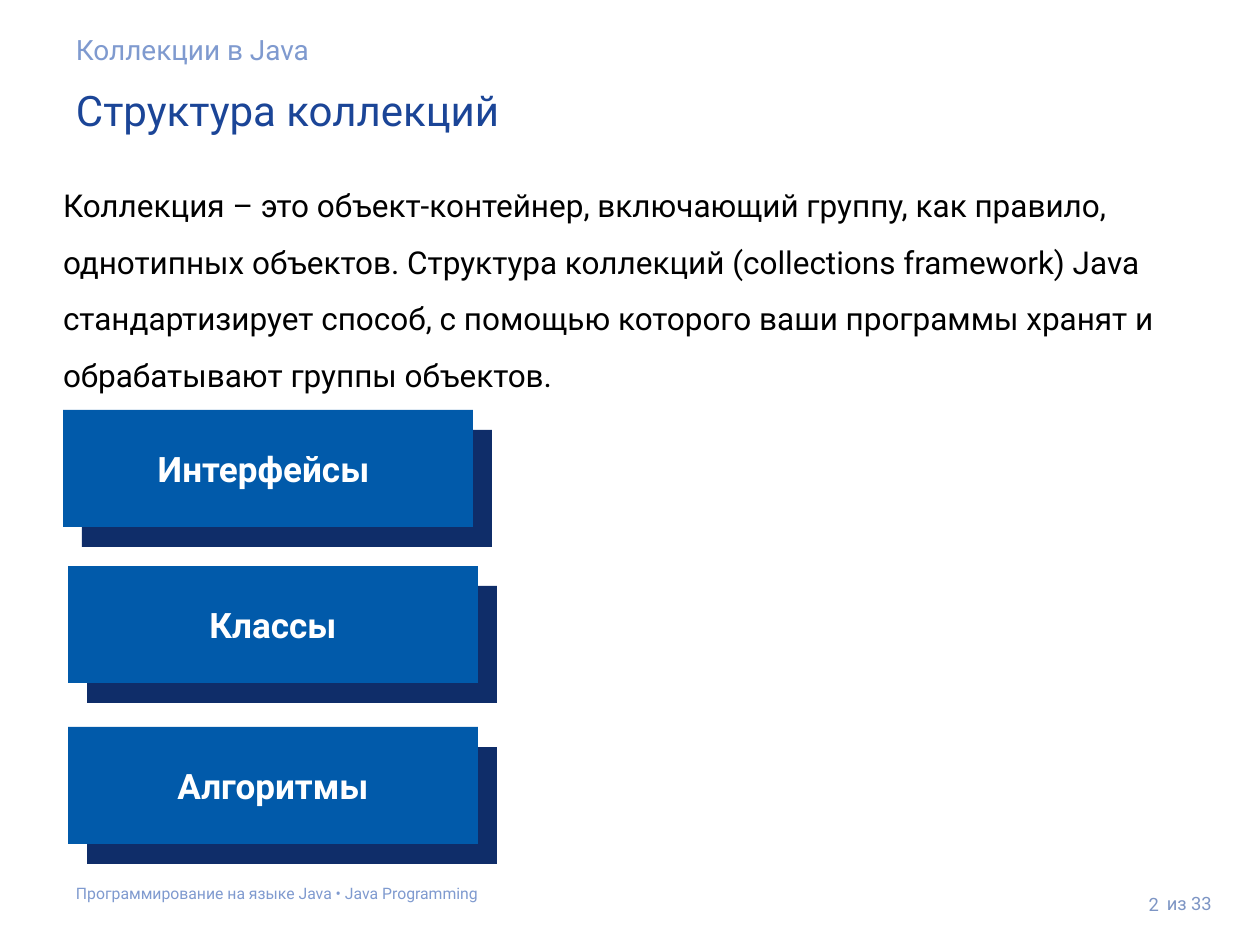
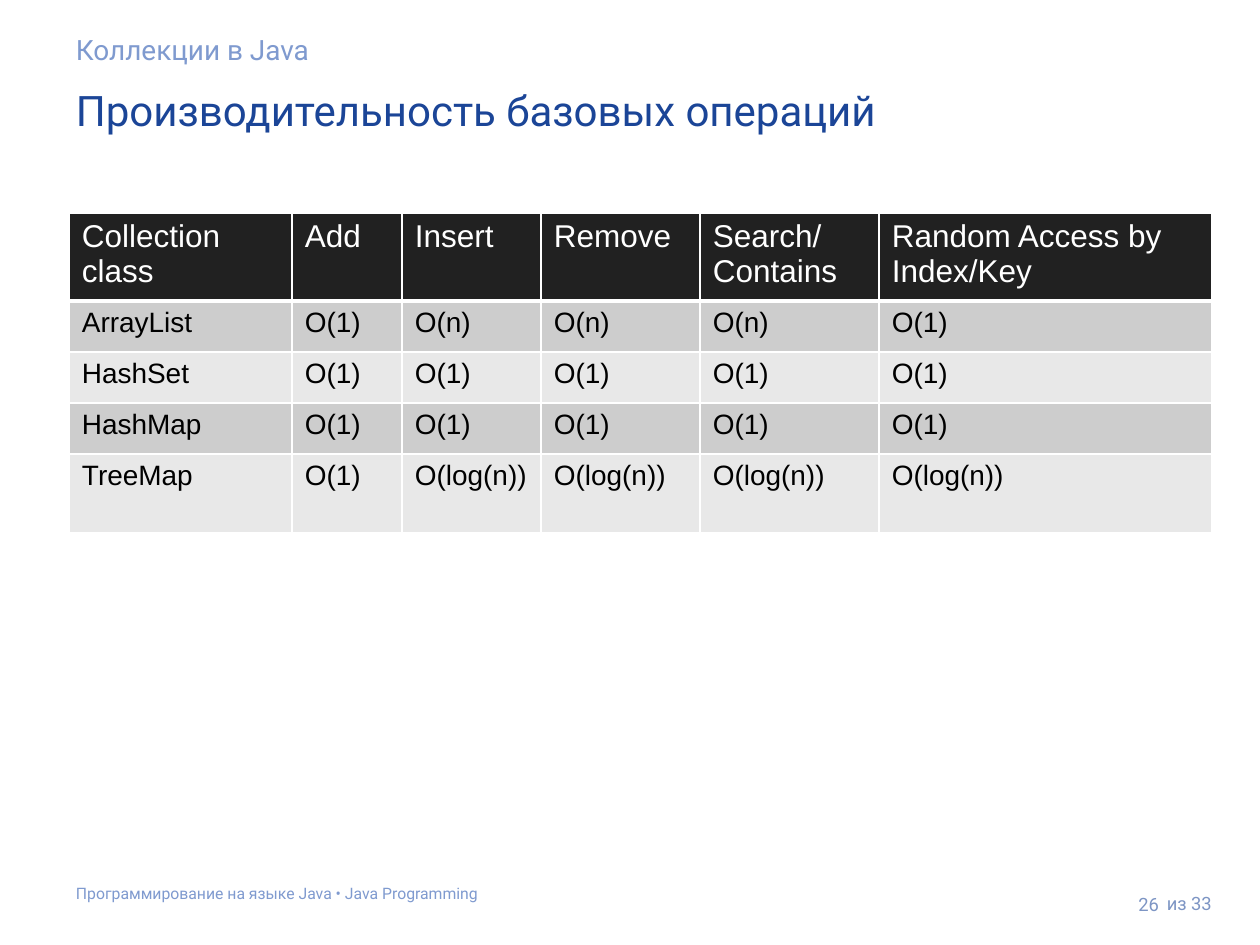
from lxml import etree
from pptx import Presentation
from pptx import util as u
from pptx.dml.color import RGBColor
from pptx.enum import shapes, text
from pptx.oxml.ns import qn

SCALE = u.Inches(1) / 126
COLORS = {
    "title": "1B4597",
    "muted": "7F9ACF",
    "page": "7D95C4",
    "black": "000000",
    "white": "FFFFFF",
    "card": "015AAA",
    "card_shadow": "0F2D69",
    "header": "212121",
    "odd_row": "CDCDCD",
    "even_row": "E8E8E8",
}
SECTION = "Коллекции в Java"
FOOTER = "Программирование на языке Java • Java Programming"
PAGE_COUNT = 33
DEFINITION = (
    "Коллекция – это объект-контейнер, включающий группу, как правило, однотипных объектов. "
    "Структура коллекций (collections framework) Java стандартизирует способ, с помощью "
    "которого ваши программы хранят и обрабатывают группы объектов."
)
CARDS = [("Интерфейсы ", 63, 410), ("Классы", 68, 566), ("Алгоритмы", 68, 727)]
CARD_SIZE = (410, 117)
SHADOW_OFFSET = (19, 20)
COLUMN_WIDTHS = [223, 110, 139, 159, 179, 333]
ROW_HEIGHTS = [88, 51, 51, 51, 79]
OPERATIONS = [
    ["Collection class", "Add", "Insert", "Remove", "Search/\nContains", "Random Access by Index/Key"],
    ["ArrayList", "O(1)", "O(n)", "O(n)", "O(n)", "O(1)"],
    ["HashSet"] + ["O(1)"] * 5,
    ["HashMap"] + ["O(1)"] * 5,
    ["TreeMap", "O(1)"] + ["O(log(n))"] * 4,
]


def px(length):
    return u.Emu(round(length * SCALE))


def color(name):
    return RGBColor.from_string(COLORS[name])


def write(frame, content, size=18, fill="black", font="Roboto", bold=False,
          align="LEFT", anchor="TOP", spacing=None, inset=6):
    frame.text = content
    frame.word_wrap = True
    frame.vertical_anchor = getattr(text.MSO_ANCHOR, anchor)
    frame.margin_left = frame.margin_right = px(13)
    frame.margin_top = frame.margin_bottom = px(inset)
    for paragraph in frame.paragraphs:
        paragraph.alignment = getattr(text.PP_ALIGN, align)
        paragraph.line_spacing = spacing
        for run in paragraph.runs:
            run.font.name = font
            run.font.size = u.Pt(size)
            run.font.bold = bold
            run.font.color.rgb = color(fill)


def add_text(slide, content, box, **style):
    shape = slide.shapes.add_textbox(*map(px, box))
    write(shape.text_frame, content, **style)


def add_rectangle(slide, left, top, fill):
    shape = slide.shapes.add_shape(
        shapes.MSO_SHAPE.RECTANGLE, *map(px, (left, top, *CARD_SIZE)))
    shape.shadow.inherit = False
    shape.fill.solid()
    shape.fill.fore_color.rgb = color(fill)
    shape.line.fill.background()
    return shape


def add_card(slide, label, left, top):
    add_rectangle(slide, left + SHADOW_OFFSET[0], top + SHADOW_OFFSET[1], "card_shadow")
    card = add_rectangle(slide, left, top, "card")
    write(card.text_frame, label, size=20, fill="white", bold=True,
          align="CENTER", anchor="MIDDLE")


def set_borders(cell, bottom):
    properties = cell._tc.get_or_add_tcPr()
    widths = {"lnL": 1, "lnR": 1, "lnT": 1, "lnB": bottom}
    for position, (side, width) in enumerate(widths.items()):
        line = etree.Element(qn(f"a:{side}"), w=str(u.Pt(width)))
        fill = etree.SubElement(line, qn("a:solidFill"))
        etree.SubElement(fill, qn("a:srgbClr"), val=COLORS["white"])
        properties.insert(position, line)


def add_operations_table(slide, left, top):
    box = (left, top, sum(COLUMN_WIDTHS), sum(ROW_HEIGHTS))
    table = slide.shapes.add_table(
        len(ROW_HEIGHTS), len(COLUMN_WIDTHS), *map(px, box)).table
    for column, width in zip(table.columns, COLUMN_WIDTHS):
        column.width = px(width)
    for index, (row, height) in enumerate(zip(table.rows, ROW_HEIGHTS)):
        row.height = px(height)
        is_header = index == 0
        fill = "header" if is_header else ("even_row", "odd_row")[index % 2]
        for cell, content in zip(row.cells, OPERATIONS[index]):
            write(cell.text_frame, content, size=18 if is_header else 16,
                  fill="white" if is_header else "black", font="Arial")
            cell.margin_left = cell.margin_right = px(13)
            cell.margin_top = cell.margin_bottom = px(6)
            cell.fill.solid()
            cell.fill.fore_color.rgb = color(fill)
            set_borders(cell, bottom=3 if is_header else 1)


def add_slide(presentation, heading, number):
    slide = presentation.slides.add_slide(presentation.slide_layouts[5])
    title = slide.shapes.title
    title.left, title.top, title.width, title.height = map(px, (63, 72, 1158, 77))
    write(title.text_frame, heading, size=24, fill="title", inset=13)
    title.text_frame.auto_size = text.MSO_AUTO_SIZE.NONE
    add_text(slide, FOOTER, (63, 874, 1134, 44), size=9, fill="muted", inset=13)
    add_text(slide, f"из {PAGE_COUNT}", (1154, 878, 87, 50),
             size=10.5, fill="page", anchor="MIDDLE")
    add_text(slide, str(number), (1096, 868, 76, 72), size=10.5, fill="page",
             align="RIGHT", anchor="MIDDLE", inset=13)
    add_text(slide, SECTION, (63, 20, 1158, 59), size=16, fill="muted", inset=13)
    return slide


def main():
    presentation = Presentation()
    presentation.slide_width, presentation.slide_height = px(1260), px(945)

    structure = add_slide(presentation, "Структура коллекций", 2)
    add_text(structure, DEFINITION, (50, 161, 1181, 236), spacing=1.5)
    for card in CARDS:
        add_card(structure, *card)

    performance = add_slide(presentation, "Производительность базовых операций", 26)
    add_operations_table(performance, 69, 213)

    presentation.save("out.pptx")


if __name__ == "__main__":
    main()
